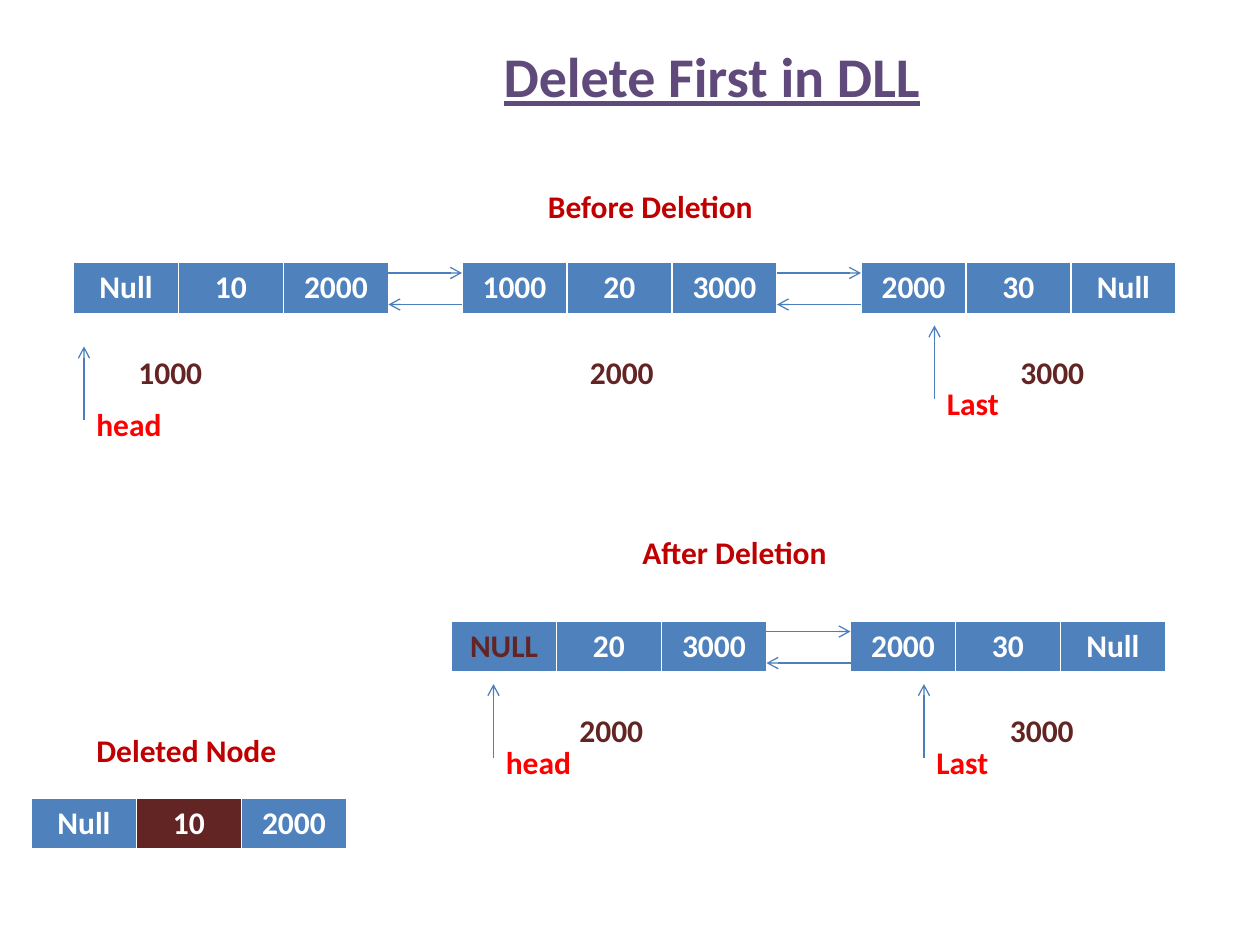
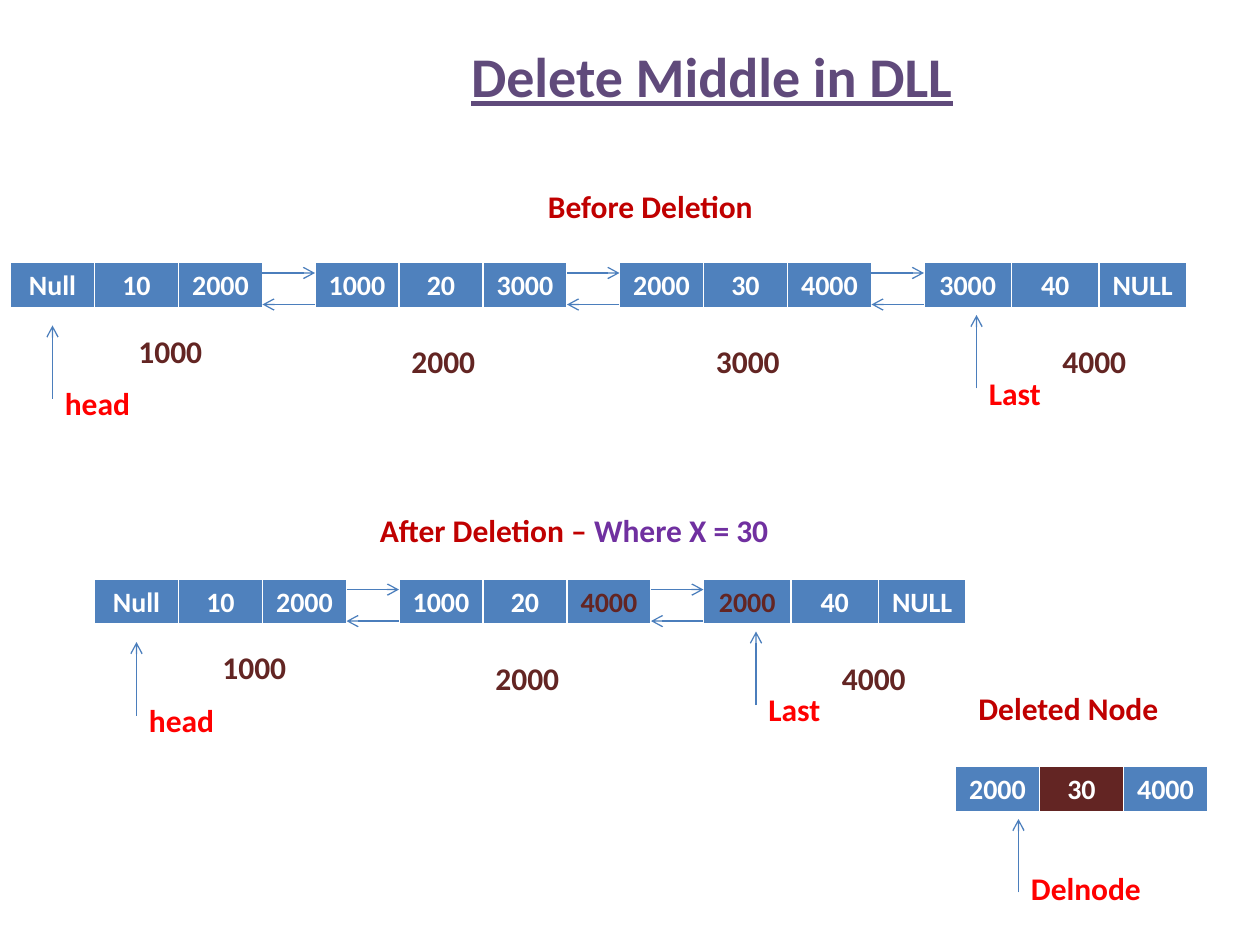
"""Two slides on deleting nodes from a doubly linked list, laid out on a grid of 12 steps to the inch."""
from lxml.etree import SubElement as Sub
from pptx import Presentation
from pptx.dml.color import RGBColor
from pptx.enum.shapes import MSO_CONNECTOR as Link
from pptx.enum.text import PP_ALIGN as Align
from pptx.oxml.ns import qn
from pptx.util import Cm, Pt

FONT = "Calibri"
BLUE, EDGE, WHITE = "4F81BD", "4B7EBC", "FFFFFF"
MAROON, RED, CRIMSON = "632523", "FF0000", "C00000"
PLUM, VIOLET = "604A7B", "7030A0"


def node(x, cells, addr=None, mark=None, wide=30):
    return dict(x=x, cells=cells, addr=addr, mark=mark, wide=wide)


def new(text):
    return text, MAROON, BLUE


def gone(text):
    return text, WHITE, MAROON


# addr: text, right, down; mark: text, right, down, label drop, label width
SLIDES = [
    dict(
        title="Delete First in DLL", size=18, high=5,
        heads=[
            (51, 17.2, 28, [("Before Deletion", CRIMSON)]),
            (60, 50.2, 28, [("After Deletion", CRIMSON)]),
            (8, 69, 28, [("Deleted Node", CRIMSON)]),
        ],
        lists=[
            (25, [
                node(7, ["Null", "10", "2000"], ("1000", 5, 8), ("head", 1, 8, 5, 10)),
                node(44, ["1000", "20", "3000"], ("2000", 11, 8)),
                node(82, ["2000", "30", "Null"], ("3000", 14, 8), ("Last", 7, 6, 5, 10)),
            ]),
            (59.15, [
                node(43, [new("NULL"), "20", "3000"], ("2000", 11, 8), ("head", 4, 6, 5, 10)),
                node(81, ["2000", "30", "Null"], ("3000", 14, 8), ("Last", 7, 6, 5, 10)),
            ]),
            (76, [node(3, ["Null", gone("10"), "2000"])]),
        ],
    ),
    dict(
        title="Delete Middle in DLL", size=16, high=4.44,
        heads=[
            (51, 17.2, 28, [("Before Deletion", CRIMSON)]),
            (35, 48.1, 41, [("After Deletion – ", CRIMSON), ("Where X = 30", VIOLET)]),
            (92, 65, 28, [("Deleted Node", CRIMSON)]),
        ],
        lists=[
            (25, [
                node(1, ["Null", "10", "2000"], ("1000", 11, 6), ("head", 4, 6, 5, 10), 24),
                node(30, ["1000", "20", "3000"], ("2000", 8, 7), None, 24),
                node(59, ["2000", "30", "4000"], ("3000", 8, 7), None, 24),
                node(88, ["3000", "40", "NULL"], ("4000", 12, 7), ("Last", 5, 5, 5, 10), 25),
            ]),
            (55.15, [
                node(9, ["Null", "10", "2000"], ("1000", 11, 6), ("head", 4, 6, 5, 10), 24),
                node(38, ["1000", "20", new("4000")], ("2000", 8, 7), None, 24),
                node(67, [new("2000"), "40", "NULL"], ("4000", 12, 7), ("Last", 5, 5, 5, 10), 25),
            ]),
            (73, [node(91, ["2000", gone("30"), "4000"], None, ("Delnode", 6, 5, 4.2, 15), 24)]),
        ],
    ),
]


def grid(*steps):
    return [Cm(step * 2.54 / 12) for step in steps]


def color(code):
    return RGBColor.from_string(code)


def write(para, text, ink, size, under=None):
    run = para.add_run()
    run.text = text
    font = run.font
    font.name, font.size, font.bold, font.underline = FONT, Pt(size), True, under
    font.color.rgb = color(ink)


def label(slide, x, y, wide, runs):
    box = slide.shapes.add_textbox(*grid(x, y, wide, 4.8))
    box.text_frame.word_wrap = True
    for text, ink in runs:
        write(box.text_frame.paragraphs[0], text, ink, 18)


def arrow(slide, *ends):
    line = slide.shapes.add_connector(Link.STRAIGHT, *grid(*ends))
    line.line.width = Pt(0.75)
    line.line.color.rgb = color(EDGE)
    Sub(line.line._get_or_add_ln(), qn("a:tailEnd"), type="arrow")
    Sub(line._element.spPr, qn("a:effectLst"))


def border(cell):
    props = cell._tc.get_or_add_tcPr()
    for side, width in (("L", 1), ("R", 1), ("T", 1), ("B", 3)):
        line = Sub(props, qn("a:ln" + side), w=str(Pt(width)))
        Sub(Sub(line, qn("a:solidFill")), qn("a:srgbClr"), val=WHITE)


def boxes(slide, item, y, high, size):
    cells = item["cells"]
    frame = slide.shapes.add_table(1, len(cells), *grid(item["x"], y, item["wide"], high))
    table = frame.table
    table.first_row = table.horz_banding = False
    for cell, part in zip(table.iter_cells(), cells):
        text, ink, fill = (part, WHITE, BLUE) if isinstance(part, str) else part
        border(cell)
        cell.fill.solid()
        cell.fill.fore_color.rgb = color(fill)
        para = cell.text_frame.paragraphs[0]
        para.alignment = Align.CENTER
        write(para, text, ink, size)


def chain(slide, y, nodes, high, size):
    for item in nodes:
        x = item["x"]
        boxes(slide, item, y, high, size)
        if item["addr"]:
            text, right, down = item["addr"]
            label(slide, x + right, y + down, 10, [(text, MAROON)])
        if item["mark"]:
            text, right, down, drop, wide = item["mark"]
            tip = y + down
            arrow(slide, x + right, tip + 7, x + right, tip)
            label(slide, x + right, tip + drop, wide, [(text, RED)])
    for left, right in zip(nodes, nodes[1:]):
        start, end = left["x"] + left["wide"], right["x"]
        arrow(slide, start, y + 1, end, y + 1)
        arrow(slide, end, y + 4, start, y + 4)


def heading(slide, text):
    box = slide.shapes.add_textbox(*grid(33.8, 3.4, 68, 7.7))
    box.text_frame.word_wrap = True
    para = box.text_frame.paragraphs[0]
    para.alignment = Align.CENTER
    write(para, text, PLUM, 32, True)


def main():
    deck = Presentation()
    deck.slide_width, deck.slide_height = Cm(25.4), Cm(19.05)
    for page in SLIDES:
        slide = deck.slides.add_slide(deck.slide_layouts[6])
        heading(slide, page["title"])
        for head in page["heads"]:
            label(slide, *head)
        for y, nodes in page["lists"]:
            chain(slide, y, nodes, page["high"], page["size"])
    deck.save("out.pptx")


if __name__ == "__main__":
    main()
